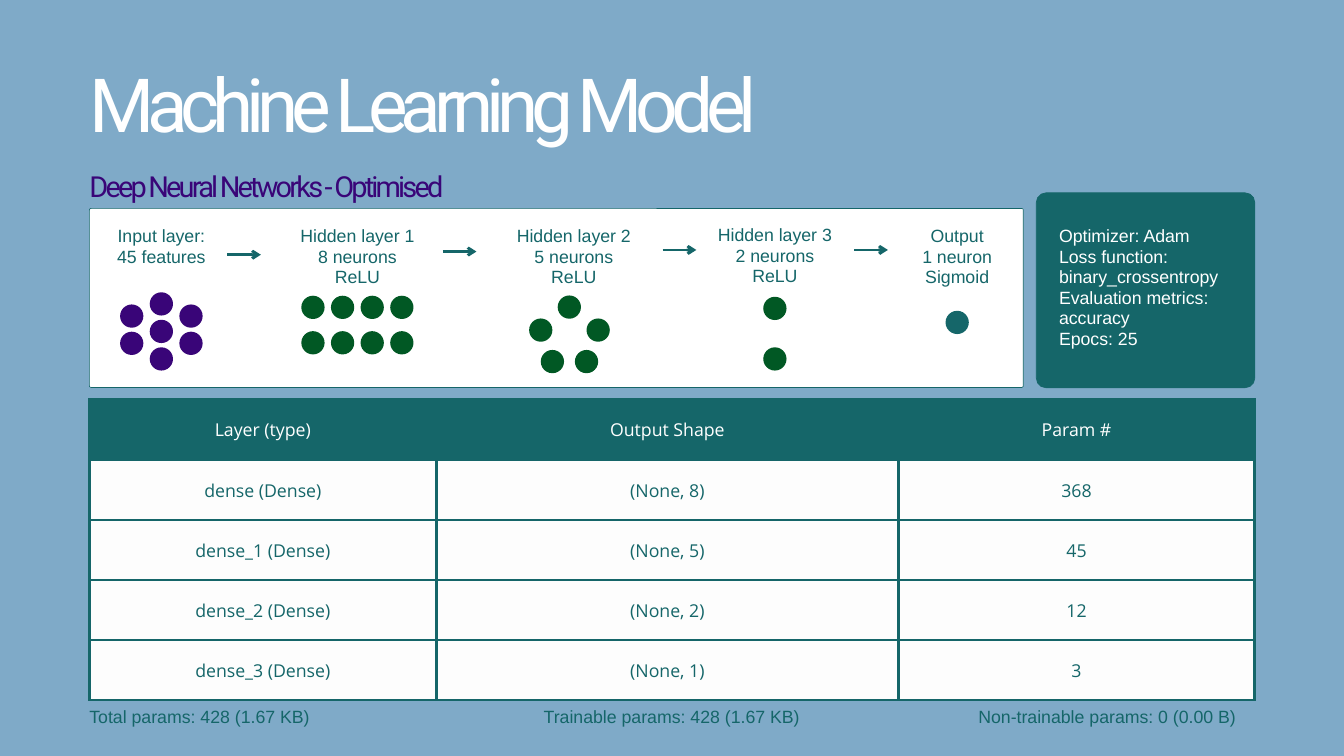
from lxml.etree import SubElement as Sub
from pptx import Presentation
from pptx.dml.color import RGBColor as RGB
from pptx.enum.shapes import MSO_CONNECTOR as Link, MSO_SHAPE as Kind
from pptx.enum.text import MSO_ANCHOR as Anchor, MSO_AUTO_SIZE as Auto, PP_ALIGN as Align
from pptx.oxml.ns import qn
from pptx.util import Cm, Pt

TEAL, PLUM, GREEN, WHITE = "156669", "390578", "015824", "FFFFFF"
DOT = 0.88
STEP = 1.12

INPUT = [(0, 3.61), (0, 4.65), (0, 5.69)] + [
    (x, y) for x in (-STEP, STEP) for y in (4.07, 5.1)]
GRID = [((i - 1.5) * STEP, y) for i in range(4) for y in (3.74, 5.08)]
RING = [(-0.17, 3.73), (-1.25, 4.6), (0.92, 4.6), (-0.81, 5.79), (0.48, 5.79)]
LAYERS = [
    (2.72, 0.66, 5.44, ["Input layer:", "45 features"], PLUM, INPUT),
    (10.13, 0.66, 7.98, ["Hidden layer 1", "8 neurons", "ReLU"], GREEN, GRID),
    (18.31, 0.66, 7.98, ["Hidden layer 2", "5 neurons", "ReLU"], GREEN, RING),
    (25.91, 0.61, 7.98, ["Hidden layer 3", "2 neurons", "ReLU"], GREEN,
     [(0, 3.78), (0, 5.69)]),
    (32.8, 0.66, 3.99, ["Output", "1 neuron", "Sigmoid"], TEAL, [(0, 4.31)]),
]
ARROWS = [(5.21, 1.75), (13.36, 1.63), (21.67, 1.57), (28.91, 1.57)]
ROWS = [
    ("Layer (type)", "Output Shape", "Param #"),
    ("dense (Dense)", "(None, 8)", "368"),
    ("dense_1 (Dense)", "(None, 5)", "45"),
    ("dense_2 (Dense)", "(None, 2)", "12"),
    ("dense_3 (Dense)", "(None, 1)", "3"),
]


def tint(code):
    return RGB.from_string(code)


def write(para, text, color, size=19, font="Arial", lead=22, align=Align.LEFT, track=0):
    para.alignment = align
    para.line_spacing = Pt(lead)
    run = para.add_run()
    run.text = text
    run.font.size = Pt(size)
    run.font.name = font
    run.font.color.rgb = tint(color)
    if track:
        run._r.get_or_add_rPr().set("spc", str(round(track * 100)))


def frame(slide, x, y, w, h):
    body = slide.shapes.add_textbox(Cm(x), Cm(y), Cm(w), Cm(h)).text_frame
    body.word_wrap = True
    body.auto_size = Auto.SHAPE_TO_FIT_TEXT
    body.margin_left = body.margin_right = body.margin_top = body.margin_bottom = 0
    return body


def lines(slide, x, y, w, h, texts, color, align=Align.LEFT):
    body = frame(slide, x, y, w, h)
    for i, text in enumerate(texts):
        para = body.add_paragraph() if i else body.paragraphs[0]
        write(para, text, color, align=align)


def solid(slide, kind, x, y, w, h, fill, edge=None):
    shape = slide.shapes.add_shape(kind, Cm(x), Cm(y), Cm(w), Cm(h))
    shape.shadow.inherit = False
    shape.fill.solid()
    shape.fill.fore_color.rgb = tint(fill)
    if edge:
        shape.line.color.rgb = tint(edge)
        shape.line.width = Pt(0.75)
    else:
        shape.line.fill.background()
    return shape


def arrow(slide, x, y, w):
    link = slide.shapes.add_connector(Link.STRAIGHT, Cm(x), Cm(y), Cm(x + w), Cm(y))
    link.line.color.rgb = tint(TEAL)
    link.line.width = Pt(3)
    Sub(link.line._get_or_add_ln(), qn("a:tailEnd"), type="arrow")
    Sub(link._element.spPr, qn("a:effectLst"))


def heading(slide, x, y, w, h):
    body = frame(slide, x, y, w, h)
    title = body.paragraphs[0]
    write(title, "Machine Learning Model", WHITE, 80, "Roboto", 40, track=-7.7)
    title.space_after = Pt(29.8)
    write(body.add_paragraph(), "Deep Neural Networks - Optimised", PLUM, 31,
          "Roboto", 29.8, track=-3)


def network(slide, x, y, w, h):
    panel = solid(slide, Kind.ROUNDED_RECTANGLE, x, y, w, h, WHITE, TEAL)
    panel.adjustments[0] = 0.01
    for mid, top, wide, texts, color, dots in LAYERS:
        lines(slide, x + mid - wide / 2, y + top, wide, 0.8 * len(texts), texts,
              TEAL, Align.CENTER)
        for dx, dy in dots:
            solid(slide, Kind.OVAL, x + mid + dx - DOT / 2, y + dy - DOT / 2,
                  DOT, DOT, color)
    for dx, dy in ARROWS:
        arrow(slide, x + dx, y + dy, 1.27)


def setup(slide, x, y, w, h):
    card = solid(slide, Kind.ROUNDED_RECTANGLE, x, y, w, h, TEAL, TEAL)
    card.adjustments[0] = 0.05
    lines(slide, x + 0.86, y + 1.24, 6.63, 4.78,
          ["Optimizer: Adam", "Loss function: binary_crossentropy",
           "Evaluation metrics: accuracy", "Epocs: 25"], WHITE)


def border(cell):
    props = cell._tc.get_or_add_tcPr()
    for side in ("lnL", "lnR", "lnT", "lnB"):
        edge = Sub(props, qn("a:" + side), w=str(Pt(3)))
        Sub(Sub(edge, qn("a:solidFill")), qn("a:srgbClr"), val=TEAL)


def summary(slide, x, y, w, h):
    table = slide.shapes.add_table(len(ROWS), 3, Cm(x), Cm(y), Cm(w), Cm(h)).table
    table.first_row = table.horz_banding = False
    for col, wide in zip(table.columns, (13.11, 17.47, 13.46)):
        col.width = Cm(wide)
    for r, row in enumerate(ROWS):
        table.rows[r].height = Cm(h / len(ROWS))
        for c, text in enumerate(row):
            cell = table.cell(r, c)
            border(cell)
            cell.fill.solid()
            cell.fill.fore_color.rgb = tint("FDFDFD" if r else TEAL)
            cell.vertical_anchor = Anchor.MIDDLE
            cell.margin_left = cell.margin_right = Cm(0.53)
            cell.margin_top = cell.margin_bottom = Cm(0.53)
            write(cell.text_frame.paragraphs[0], text, TEAL if r else WHITE,
                  font="Open Sans", lead=26.6, align=Align.CENTER)


def totals(slide, x, y, h):
    for dx, w, text, align in (
            (0, 13.74, "Total params: 428 (1.67 KB)", Align.LEFT),
            (15.14, 13.74, "Trainable params: 428 (1.67 KB)", Align.CENTER),
            (33.6, 10.44, "Non-trainable params: 0 (0.00 B)", Align.LEFT)):
        lines(slide, x + dx, y, w, h, [text], TEAL, align)


def main():
    deck = Presentation()
    deck.slide_width, deck.slide_height = Cm(50.8), Cm(28.58)
    slide = deck.slides.add_slide(deck.slide_layouts[6])
    slide.background.fill.solid()
    slide.background.fill.fore_color.rgb = tint("7FAAC8")
    heading(slide, 3.38, 4.17, 39.5, 3.12)
    network(slide, 3.38, 7.88, 35.3, 6.77)
    setup(slide, 39.17, 7.29, 8.26, 7.37)
    summary(slide, 3.38, 15.11, 44.04, 11.35)
    totals(slide, 3.38, 26.7, 0.91)
    deck.save("out.pptx")


if __name__ == "__main__":
    main()
